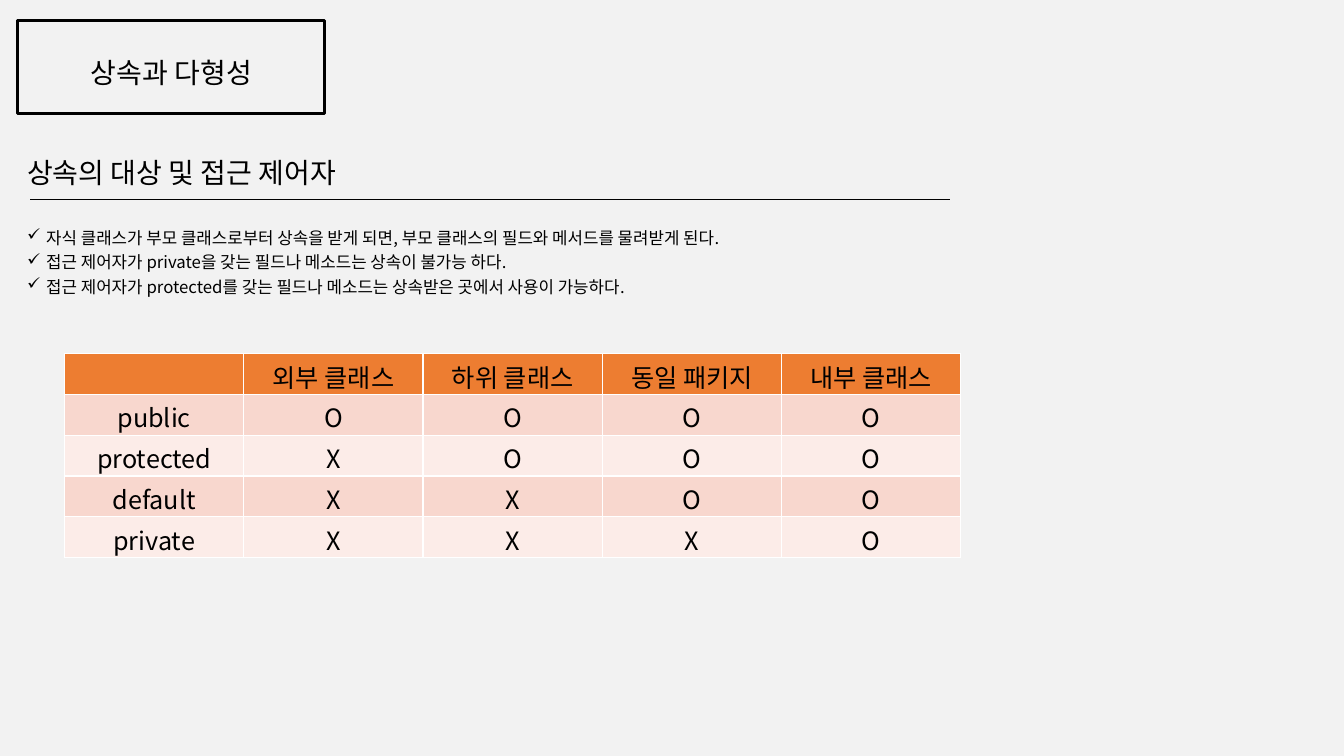
from lxml.etree import SubElement
from pptx import Presentation
from pptx.dml.color import RGBColor
from pptx.enum.shapes import MSO_CONNECTOR, MSO_SHAPE
from pptx.enum.text import MSO_ANCHOR, PP_ALIGN
from pptx.oxml.ns import qn
from pptx.util import Inches, Pt

COLORS = {
    "background": "F2F2F2",
    "ink": "000000",
    "header": "ED7D31",
    "odd_row": "F8D7CE",
    "even_row": "FCECE8",
    "border": "FFFFFF",
}
BULLETS = [
    "자식 클래스가 부모 클래스로부터 상속을 받게 되면, 부모 클래스의 필드와 메서드를 물려받게 된다.",
    "접근 제어자가 private을 갖는 필드나 메소드는 상속이 불가능 하다.",
    "접근 제어자가 protected를 갖는 필드나 메소드는 상속받은 곳에서 사용이 가능하다.",
]
ACCESS_TABLE = [
    ["", "외부 클래스", "하위 클래스", "동일 패키지", "내부 클래스"],
    ["public", *"OOOO"],
    ["protected", *"XOOO"],
    ["default", *"XXOO"],
    ["private", *"XXXO"],
]


def color(name):
    return RGBColor.from_string(COLORS[name])


def grid(*units):
    """Turn grid columns or rows, ten to the inch, into lengths."""
    return [Inches(unit / 10) for unit in units]


class SlideBuilder:
    font_name = "Noto Sans CJK KR"

    def __init__(self, slide):
        self.slide = slide
        fill = slide.background.fill
        fill.solid()
        fill.fore_color.rgb = color("background")

    def style(self, paragraph, size, alignment):
        paragraph.alignment = alignment
        font = paragraph.font
        font.name = self.font_name
        font.size = Pt(size)
        font.bold = False
        font.color.rgb = color("ink")
        defaults = paragraph._p.pPr.find(qn("a:defRPr"))
        SubElement(defaults, qn("a:ea"), typeface=self.font_name)

    def text(self, box, lines, size, alignment=PP_ALIGN.LEFT,
             anchor=MSO_ANCHOR.TOP, bullet=None, spacing=1):
        frame = self.slide.shapes.add_textbox(*grid(*box)).text_frame
        frame.word_wrap = True
        frame.vertical_anchor = anchor
        frame.text = "\n".join(lines)
        for paragraph in frame.paragraphs:
            paragraph.line_spacing = spacing
            self.style(paragraph, size, alignment)
            if bullet:
                self.add_bullet(paragraph, bullet)

    def add_bullet(self, paragraph, character):
        properties = paragraph._p.pPr
        indent = Inches(0.19)
        properties.set("marL", str(indent))
        properties.set("indent", str(-indent))
        mark = SubElement(properties, qn("a:buChar"), char=character)
        properties.find(qn("a:defRPr")).addprevious(mark)

    def frame(self, box, width):
        shape = self.slide.shapes.add_shape(MSO_SHAPE.RECTANGLE, *grid(*box))
        shape.shadow.inherit = False
        shape.fill.background()
        shape.line.color.rgb = color("ink")
        shape.line.width = Pt(width)

    def rule(self, ends, width):
        connector = self.slide.shapes.add_connector(MSO_CONNECTOR.STRAIGHT, *grid(*ends))
        connector.line.color.rgb = color("ink")
        connector.line.width = Pt(width)
        SubElement(connector._element.spPr, qn("a:effectLst"))

    def table(self, box, rows, size):
        table = self.slide.shapes.add_table(len(rows), len(rows[0]), *grid(*box)).table
        for row_index, values in enumerate(rows):
            fill_name = ("even_row", "odd_row")[row_index % 2] if row_index else "header"
            for column_index, value in enumerate(values):
                cell = table.cell(row_index, column_index)
                cell.text = value
                cell.vertical_anchor = MSO_ANCHOR.MIDDLE
                cell.margin_top, cell.margin_bottom = Inches(0.04), 0
                self.style(cell.text_frame.paragraphs[0], size, PP_ALIGN.CENTER)
                self.add_borders(cell)
                cell.fill.solid()
                cell.fill.fore_color.rgb = color(fill_name)

    def add_borders(self, cell):
        properties = cell._tc.get_or_add_tcPr()
        for side in ("lnL", "lnR", "lnT", "lnB"):
            line = SubElement(properties, qn(f"a:{side}"), w=str(Pt(1)))
            fill = SubElement(line, qn("a:solidFill"))
            SubElement(fill, qn("a:srgbClr"), val=COLORS["border"])


def main():
    presentation = Presentation()
    presentation.slide_width, presentation.slide_height = Inches(13.33), Inches(7.5)
    builder = SlideBuilder(presentation.slides.add_slide(presentation.slide_layouts[6]))

    builder.text((2.5, 5, 29, 4.4), ["상속과 다형성"], 20,
                 PP_ALIGN.CENTER, MSO_ANCHOR.MIDDLE)
    builder.frame((1.7, 2, 30.5, 9.3), 2)
    builder.text((1.7, 14.9, 55.2, 4.4), ["상속의 대상 및 접근 제어자"], 20)
    builder.text((1.7, 21.6, 94.5, 9.7), BULLETS, 12, PP_ALIGN.JUSTIFY,
                 bullet="✓", spacing=1.23)
    builder.rule((3, 19.8, 94.2, 19.8), 1.25)
    builder.table((6.4, 35.1, 88.9, 20.2), ACCESS_TABLE, 18)

    presentation.save("out.pptx")


if __name__ == "__main__":
    main()
